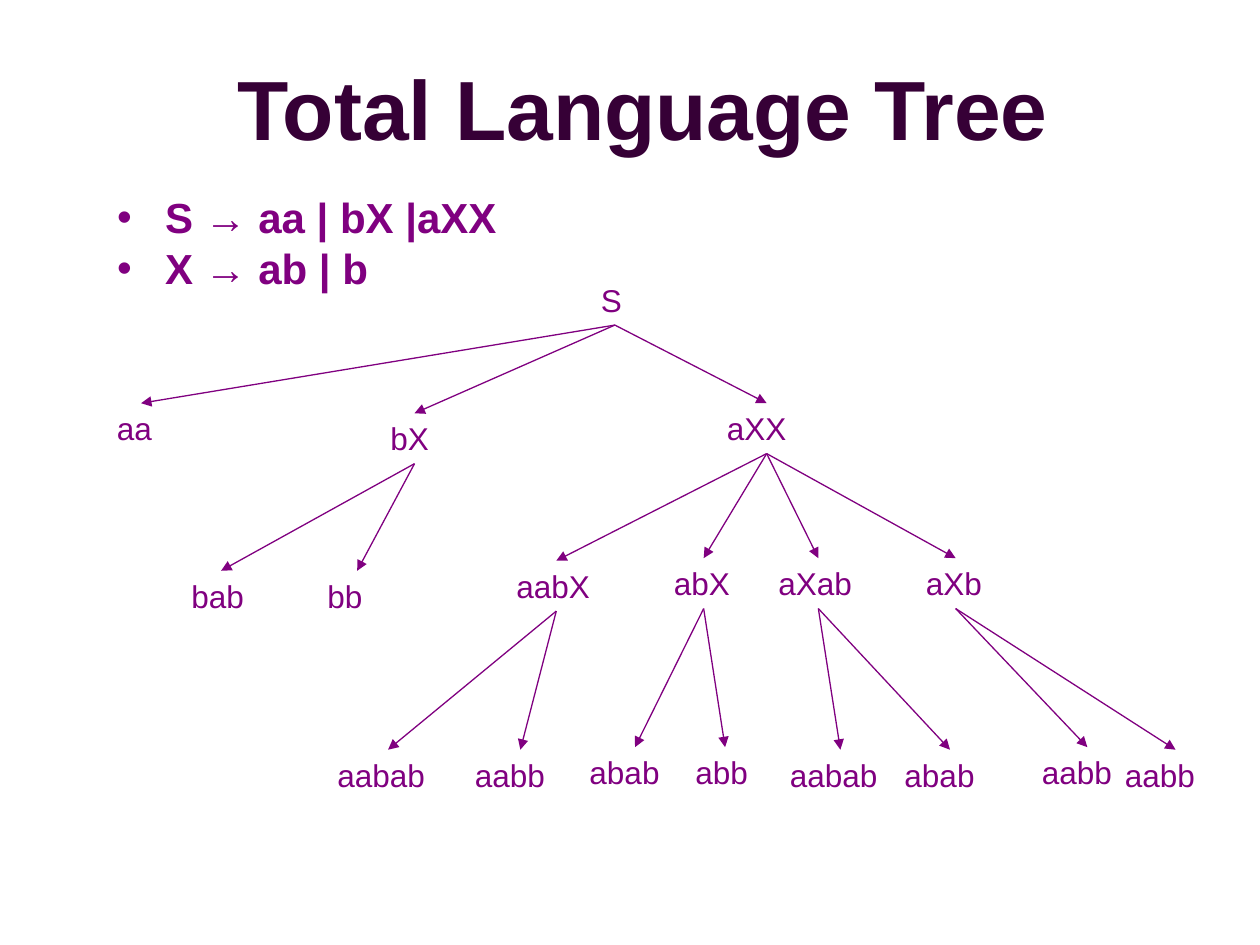
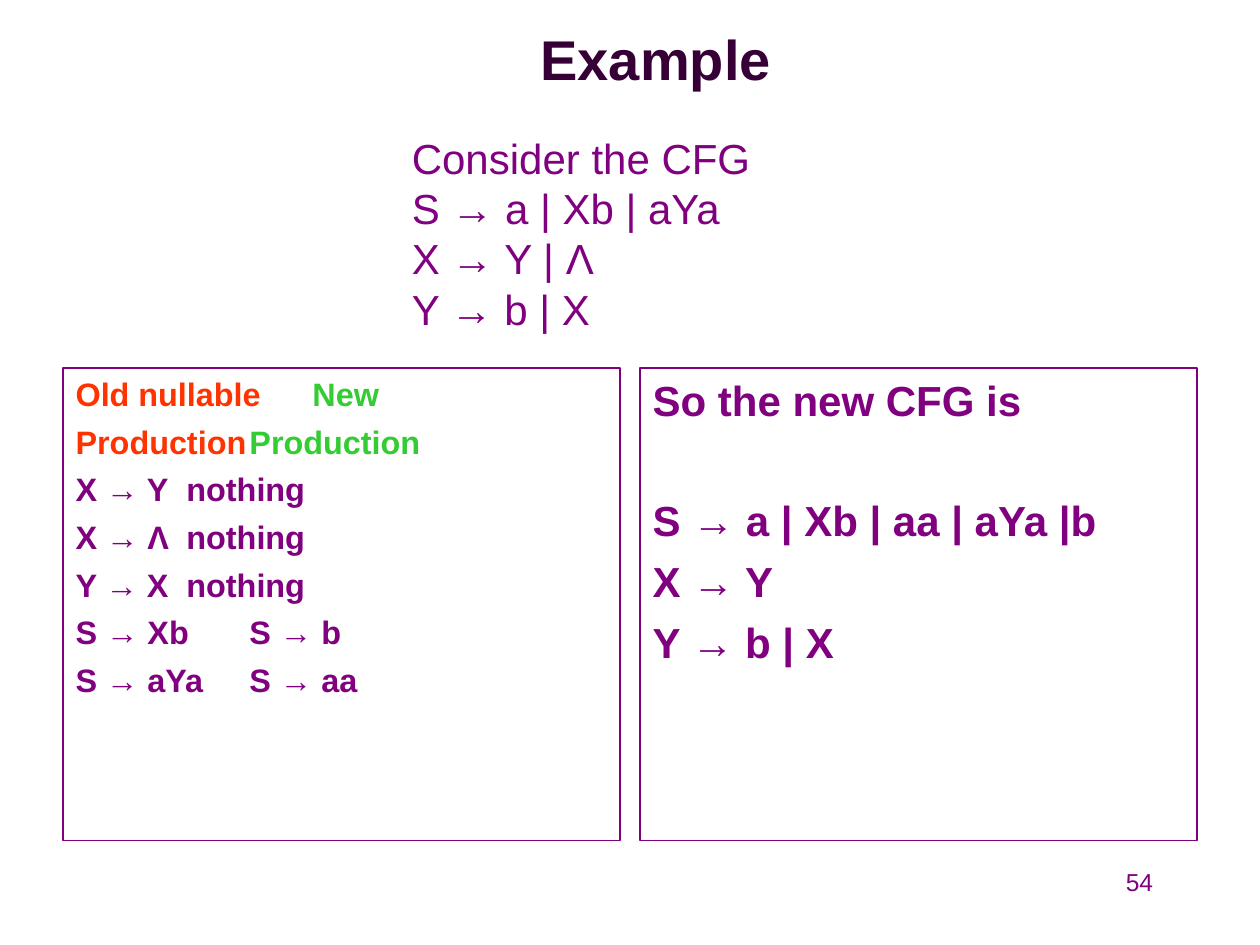
from pptx import Presentation
from pptx.dml.color import RGBColor
from pptx.enum.shapes import MSO_CONNECTOR
from pptx.enum.text import MSO_ANCHOR, MSO_AUTO_SIZE, PP_ALIGN
from pptx.oxml.ns import qn
from pptx.util import Inches, Pt
from lxml.etree import SubElement

FONT = "Arial"
PURPLE, DARK, RED, GREEN = "800080", "360036", "FF3300", "33CC33"
HANGING = 0.38
NODE_HEIGHT = 0.4

# Tree nodes: label, left, top, width, children
TREE = ("S", 4.67, 2.18, 0.42, [
    ("aa", 0.83, 3.2, 0.58, []),
    ("bX", 3, 3.28, 0.58, [
        ("bab", 1.42, 4.53, 0.67, []),
        ("bb", 2.5, 4.53, 0.67, []),
    ]),
    ("aXX", 5.67, 3.2, 0.83, [
        ("aabX", 4, 4.45, 0.83, [
            ("aabab", 2.58, 5.95, 1, []),
            ("aabb", 3.67, 5.95, 0.92, []),
        ]),
        ("abX", 5.25, 4.43, 0.67, [
            ("abab", 4.58, 5.93, 0.92, []),
            ("abb", 5.42, 5.93, 0.67, []),
        ]),
        ("aXab", 6.08, 4.43, 0.83, [
            ("aabab", 6.17, 5.95, 1, []),
            ("abab", 7.08, 5.95, 0.92, []),
        ]),
        ("aXb", 7.25, 4.43, 0.67, [
            ("aabb", 8.17, 5.93, 0.92, []),
            ("aabb", 8.83, 5.95, 1, []),
        ]),
    ]),
])

# Old production, new production, tab stop, and their colours
PRODUCTIONS = [
    ("Old nullable", "New", 3, RED, GREEN),
    ("Production", "Production", 2.42, RED, GREEN),
    ("X → Y", "nothing", 3, PURPLE, PURPLE),
    ("X → Λ", "nothing", 3, PURPLE, PURPLE),
    ("Y → X", "nothing", 3, PURPLE, PURPLE),
    ("S → Xb", "S → b", 2.93, PURPLE, PURPLE),
    ("S → aYa", "S → aa", 2, PURPLE, PURPLE),
]


def rgb(color):
    return RGBColor.from_string(color)


def style_run(r, size, color=PURPLE, bold=False):
    r.font.name = FONT
    r.font.size = Pt(size)
    r.font.bold = bold
    r.font.color.rgb = rgb(color)


def place(sp, left, top, width, height):
    sp.left, sp.top = Inches(left), Inches(top)
    sp.width, sp.height = Inches(width), Inches(height)


def set_title(s, text, size, box):
    sp = s.shapes.title
    place(sp, *box)
    tf = sp.text_frame
    tf.text = text
    tf.vertical_anchor = MSO_ANCHOR.MIDDLE
    tf.auto_size = MSO_AUTO_SIZE.NONE
    p = tf.paragraphs[0]
    p.alignment = PP_ALIGN.CENTER
    style_run(p.runs[0], size, DARK, True)


def add_text(s, lines, size, box, align=PP_ALIGN.LEFT):
    tf = s.shapes.add_textbox(*map(Inches, box)).text_frame
    tf.word_wrap = True
    tf.text = "\n".join(lines)
    for p in tf.paragraphs:
        p.alignment = align
        style_run(p.runs[0], size)


def set_body(sp, lines, box, space):
    """Fill a body placeholder and return its paragraphs."""
    place(sp, *box)
    tf = sp.text_frame
    tf.auto_size = MSO_AUTO_SIZE.NONE
    tf.text = "\n".join(lines)
    for i, p in enumerate(tf.paragraphs):
        p.space_before = Pt(space if i else 0)
    return tf.paragraphs


def set_indent(p, bullet=False, tab=None):
    pPr = p._p.get_or_add_pPr()
    pPr.set("marL", str(Inches(HANGING)))
    pPr.set("indent", str(-Inches(HANGING)))
    if bullet:
        clr = SubElement(pPr, qn("a:buClr"))
        SubElement(clr, qn("a:srgbClr"), val=PURPLE)
        SubElement(pPr, qn("a:buFont"), typeface=FONT)
        SubElement(pPr, qn("a:buChar"), char="•")
    else:
        SubElement(pPr, qn("a:buNone"))
    if tab:
        tabs = SubElement(pPr, qn("a:tabLst"))
        SubElement(tabs, qn("a:tab"), pos=str(Inches(tab)), algn="l")


def outline(sp):
    sp.line.color.rgb = rgb(PURPLE)
    sp.line.width = Pt(0.75)


def add_arrow(s, start, end):
    points = map(Inches, (*start, *end))
    line = s.shapes.add_connector(MSO_CONNECTOR.STRAIGHT, *points)
    outline(line)
    SubElement(line.line._get_or_add_ln(), qn("a:tailEnd"), type="triangle")
    SubElement(line._element.spPr, qn("a:effectLst"))


def add_tree(s, node):
    """Draw a node, its subtrees and the arrows that lead to them."""
    label, left, top, width, children = node
    add_text(s, [label], 18, (left, top, width, NODE_HEIGHT))
    bottom = (left + width / 2, top + NODE_HEIGHT)
    for child in children:
        add_tree(s, child)
        _, child_left, child_top, child_width, _ = child
        add_arrow(s, bottom, (child_left + child_width / 2, child_top))


def build_tree_slide(prs):
    s = prs.slides.add_slide(prs.slide_layouts[1])
    set_title(s, "Total Language Tree", 48, (1.07, 0.25, 8.07, 1.19))
    rules = ["S → aa | bX |aXX", "X → ab | b"]
    for p in set_body(s.placeholders[1], rules, (0.83, 1.55, 8.07, 0.86), 6):
        set_indent(p, bullet=True)
        p.line_spacing = 0.8
        style_run(p.runs[0], 24, bold=True)
    add_tree(s, TREE)


def build_example_slide(prs):
    s = prs.slides.add_slide(prs.slide_layouts[3])
    set_title(s, "Example", 32, (1.17, 0, 8.07, 0.92))
    grammar = ["Consider the CFG", "S → a | Xb | aYa", "X → Y | Λ", "Y → b | X"]
    add_text(s, grammar, 24, (3.17, 1, 4.1, 1.7))

    # Old and new productions
    old_new = s.placeholders[1]
    outline(old_new)
    lines = [old + "\t" for old, *_ in PRODUCTIONS]
    paragraphs = set_body(old_new, lines, (0.5, 2.92, 4.42, 3.75), 5)
    for p, (_, new, tab, old_color, new_color) in zip(paragraphs, PRODUCTIONS):
        set_indent(p, tab=tab)
        style_run(p.runs[0], 18.5, old_color, True)
        r = p.add_run()
        r.text = new
        style_run(r, 18.5, new_color, True)

    # Resulting grammar
    result = s.placeholders[2]
    outline(result)
    lines = ["So the new CFG is", "S → a | Xb | aa | aYa |b", "X → Y", "Y → b | X"]
    paragraphs = set_body(result, lines, (5.08, 2.92, 4.42, 3.75), 6)
    for p in paragraphs:
        set_indent(p)
        style_run(p.runs[0], 24, bold=True)
    paragraphs[1].space_before = Pt(40)

    # Slide number
    add_text(s, ["54"], 14, (7.17, 6.83, 2.08, 0.5), PP_ALIGN.RIGHT)


def main():
    prs = Presentation()
    prs.slide_width, prs.slide_height = Inches(10), Inches(7.5)
    build_tree_slide(prs)
    build_example_slide(prs)
    prs.save("out.pptx")


if __name__ == "__main__":
    main()
